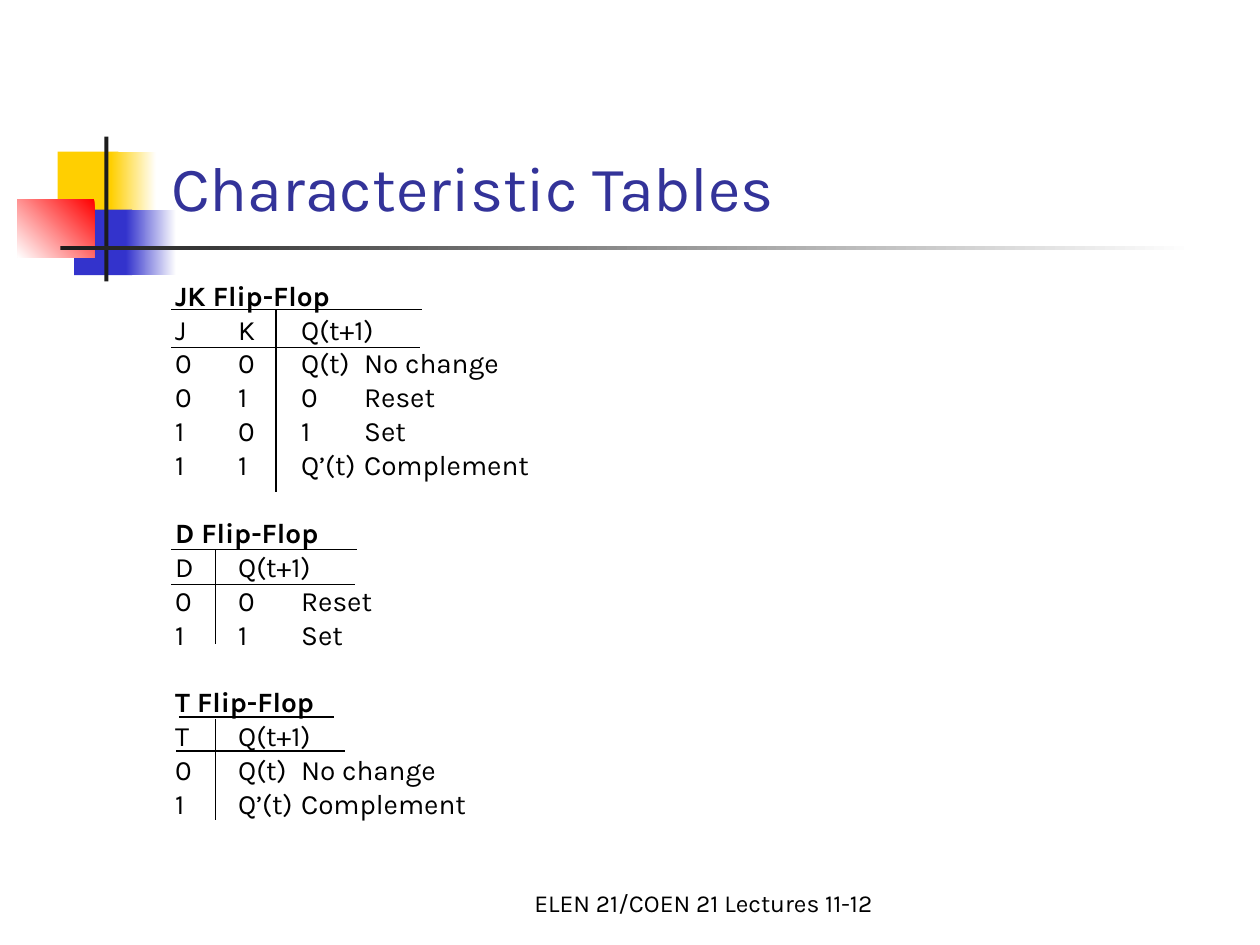
from lxml.etree import SubElement
from pptx import Presentation
from pptx.dml.color import RGBColor
from pptx.enum.shapes import MSO_CONNECTOR, MSO_SHAPE
from pptx.enum.text import MSO_ANCHOR, MSO_AUTO_SIZE, PP_ALIGN
from pptx.oxml.ns import qn
from pptx.util import Pt

FONT = "Karla"
BLACK, WHITE, INK = "000000", "FFFFFF", "1C1C1C"
YELLOW, BLUE, RED, NAVY = "FFCF01", "3333CC", "FF0000", "333399"
LINE_PITCH = 19.4
ROW_GAP = 4

# Rules are (x1, y1, x2, y2), measured from the left and top of each table.
FLIP_FLOPS = [
    {
        "name": "JK Flip-Flop",
        "stops": [36, 108, 150],
        "rows": [
            ["J", "K", "Q(t+1)"],
            ["0", "0", "Q(t)", "No change"],
            ["0", "1", "0", "Reset"],
            ["1", "0", "1", "Set"],
            ["1", "1", "Q’(t)", "Complement"],
        ],
        "origin": (98, 177),
        "rules": [(0, 0, 143.3, 0), (0, 21.7, 142, 21.7), (59.7, 0, 59.7, 104)],
    },
    {
        "name": "D Flip-Flop",
        "stops": [36, 108],
        "rows": [["D", "Q(t+1)"], ["0", "0", "Reset"], ["1", "1", "Set"]],
        "origin": (98, 314),
        "rules": [(0, 0, 106, 0), (0, 20, 105, 20), (25.1, 0, 25.1, 54)],
    },
    {
        "name": "T Flip-Flop",
        "stops": [36, 116],
        "rows": [["T", "Q(t+1)"], ["0", "Q(t)", "No change"], ["1", "Q’(t)", "Complement"]],
        "origin": (98, 409.7),
        "rules": [(4.2, 0, 92.8, 0), (2.8, 19.4, 99.3, 19.4), (25.1, 1.4, 25.1, 59)],
    },
]


def color(value):
    return RGBColor.from_string(value)


def place(shape, box):
    shape.left, shape.top, shape.width, shape.height = (Pt(value) for value in box)


def add_run(paragraph, text, size, fill=BLACK, bold=False):
    run = paragraph.add_run()
    run.text = text
    run.font.name = FONT
    run.font.size = Pt(size)
    run.font.bold = bold
    run.font.color.rgb = color(fill)


def add_block(slide, box, start, end=None, angle=0):
    """Add a borderless rectangle, solid or fading from start to end."""
    left, top, width, height = (Pt(value) for value in box)
    shape = slide.shapes.add_shape(MSO_SHAPE.RECTANGLE, left, top, width, height)
    shape.shadow.inherit = False
    shape.line.fill.background()
    if end is None:
        shape.fill.solid()
        shape.fill.fore_color.rgb = color(start)
        return
    shape.fill.gradient()
    shape.fill.gradient_angle = angle
    for stop, value in zip(shape.fill.gradient_stops, (start, end)):
        stop.color.rgb = color(value)


def add_ornament(slide, left, top):
    """Add the overlapping squares and the crossed bars."""
    blocks = [
        ((23, 8.6, 34.6, 37.4), YELLOW),
        ((53.4, 8.6, 25.9, 37.4), YELLOW, WHITE),
        ((32.4, 41.8, 33.1, 37.4), BLUE),
        ((61.9, 41.8, 28.8, 37.4), BLUE, WHITE),
        ((0, 36, 44, 33.1), RED, WHITE, 225),
        ((49.7, 0, 2.3, 82.8), INK),
        ((24.5, 62.6, 648, 2.3), INK, WHITE),
    ]
    for (x, y, width, height), *fill in blocks:
        add_block(slide, (left + x, top + y, width, height), *fill)


def add_title(slide, box, text):
    title = slide.shapes.title
    place(title, box)
    slide.shapes.element.append(title.element)  # in front of the ornament
    frame = title.text_frame
    frame.auto_size = MSO_AUTO_SIZE.NONE
    frame.vertical_anchor = MSO_ANCHOR.BOTTOM
    paragraph = frame.paragraphs[0]
    paragraph.alignment = PP_ALIGN.LEFT
    add_run(paragraph, text, 36, NAVY)


def format_row(paragraph, space_before, stops):
    paragraph.line_spacing = 0.8
    paragraph.space_before = Pt(space_before)
    properties = paragraph._p.get_or_add_pPr()
    properties.set("marL", "0")
    properties.set("indent", "0")
    SubElement(properties, qn("a:buNone"))
    tabs = SubElement(properties, qn("a:tabLst"))
    for stop in stops:
        SubElement(tabs, qn("a:tab"), pos=str(Pt(stop)), algn="l")


def add_table_text(slide, box, tables):
    body = slide.placeholders[1]
    place(body, box)
    slide.shapes.element.append(body.element)
    frame = body.text_frame
    frame.auto_size = MSO_AUTO_SIZE.NONE
    frame.vertical_anchor = MSO_ANCHOR.TOP
    for number, table in enumerate(tables):
        heading = frame.add_paragraph() if number else frame.paragraphs[0]
        gap = ROW_GAP + LINE_PITCH if number else ROW_GAP
        format_row(heading, gap, table["stops"])
        add_run(heading, table["name"], 16, bold=True)
        for row in table["rows"]:
            paragraph = frame.add_paragraph()
            format_row(paragraph, ROW_GAP, table["stops"])
            add_run(paragraph, "\t".join(row), 16)


def add_rules(slide, origin, rules):
    left, top = origin
    for x1, y1, x2, y2 in rules:
        line = slide.shapes.add_connector(
            MSO_CONNECTOR.STRAIGHT,
            Pt(left + x1), Pt(top + y1), Pt(left + x2), Pt(top + y2),
        )
        line.line.color.rgb = color(BLACK)
        line.line.width = Pt(0.75)
        SubElement(line.element.spPr, qn("a:effectLst"))


def add_footer(slide, box, text):
    footer = slide.shapes.add_textbox(*(Pt(value) for value in box))
    frame = footer.text_frame
    frame.word_wrap = True
    frame.vertical_anchor = MSO_ANCHOR.BOTTOM
    paragraph = frame.paragraphs[0]
    paragraph.alignment = PP_ALIGN.CENTER
    add_run(paragraph, text, 14)


def main():
    presentation = Presentation()
    presentation.slide_width, presentation.slide_height = Pt(720), Pt(540)
    slide = presentation.slides.add_slide(presentation.slide_layouts[1])
    add_ornament(slide, 10, 78)
    add_footer(slide, (288, 491.8, 228.2, 36), "ELEN 21/COEN 21 Lectures 11-12")
    add_title(slide, (90.7, 16.6, 613.4, 115.2), "Characteristic Tables")
    add_table_text(slide, (92.9, 159.1, 612, 324), FLIP_FLOPS)
    for table in FLIP_FLOPS:
        add_rules(slide, table["origin"], table["rules"])
    presentation.save("out.pptx")


if __name__ == "__main__":
    main()
